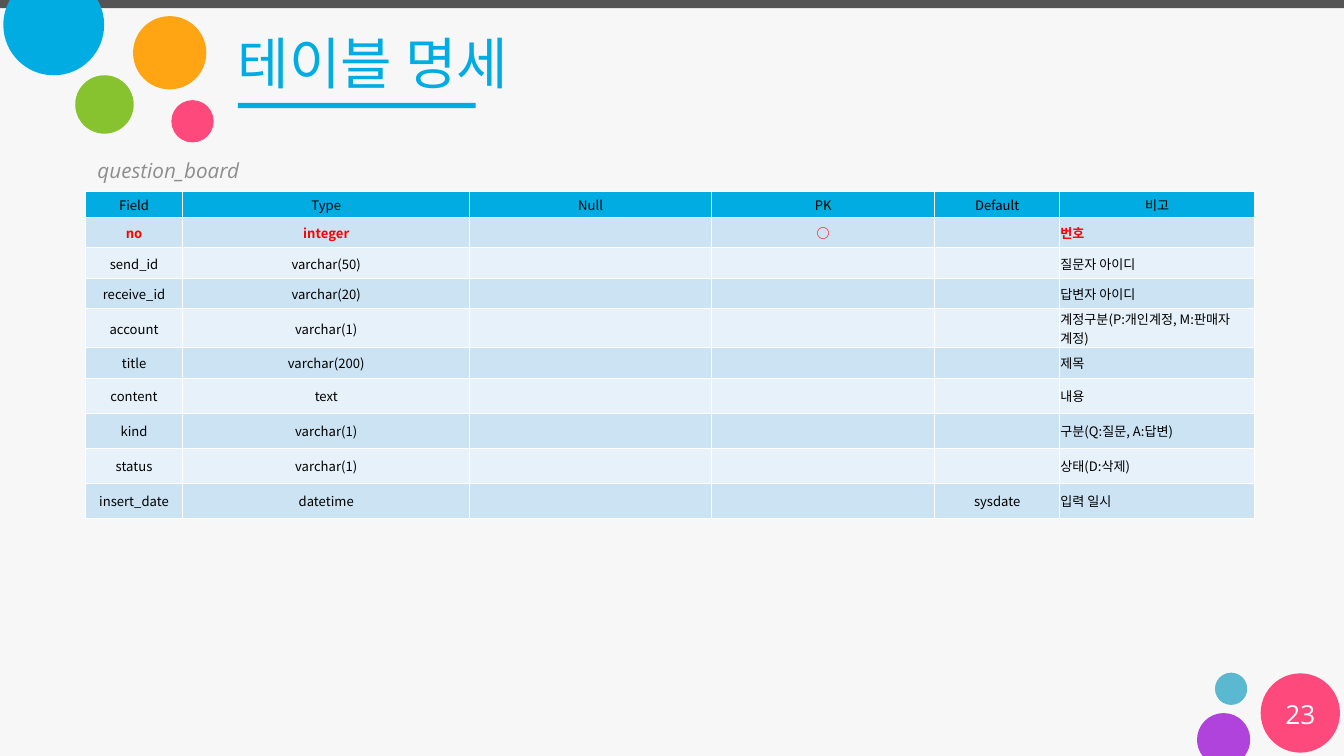
import math
from lxml import etree
from pptx import Presentation
from pptx.dml.color import RGBColor
from pptx.enum.shapes import MSO_SHAPE
from pptx.enum.text import MSO_ANCHOR, PP_ALIGN
from pptx.oxml.ns import qn
from pptx.util import Pt

RECTANGLE, OVAL = MSO_SHAPE.RECTANGLE, MSO_SHAPE.OVAL
TOP, MIDDLE = MSO_ANCHOR.TOP, MSO_ANCHOR.MIDDLE
LEFT, CENTER = PP_ALIGN.LEFT, PP_ALIGN.CENTER

BACKGROUND = RGBColor(0xF7, 0xF7, 0xF7)
CHARCOAL = RGBColor(0x54, 0x54, 0x54)
BLUE = RGBColor(0x00, 0xAC, 0xE2)
PINK = RGBColor(0xFD, 0x49, 0x7C)
GREEN = RGBColor(0x87, 0xC3, 0x2F)
ORANGE = RGBColor(0xFF, 0xA5, 0x13)
TEAL = RGBColor(0x5B, 0xB8, 0xD1)
PURPLE = RGBColor(0xB1, 0x43, 0xDD)
GRAY = RGBColor(0x8E, 0x8E, 0x8E)
WHITE = RGBColor(0xFF, 0xFF, 0xFF)
BLACK = RGBColor(0x00, 0x00, 0x00)
RED = RGBColor(0xFF, 0x00, 0x00)
BAND_DARK = RGBColor(0xCC, 0xE3, 0xF4)
BAND_LIGHT = RGBColor(0xE7, 0xF1, 0xFA)
KOREAN_FONT = "Noto Sans CJK KR"


def paint(shape, color):
    shape.shadow.inherit = False
    shape.fill.solid()
    shape.fill.fore_color.rgb = color
    shape.line.fill.background()


def write(frame, text, font_name, size, color, align):
    para = frame.paragraphs[0]
    para.text = text
    para.alignment = align
    para.font.name = font_name
    para.font.size = Pt(size)
    para.font.color.rgb = color
    defaults = para._p.pPr.find(qn("a:defRPr"))
    etree.SubElement(defaults, qn("a:ea"), typeface=font_name)
    return para


deck = Presentation()
deck.slide_width, deck.slide_height = Pt(1440), Pt(810)
page = deck.slides.add_slide(deck.slide_layouts[6])
page.background.fill.solid()
page.background.fill.fore_color.rgb = BACKGROUND

for kind, left, top, width, height, color in [
    (RECTANGLE, 0, 0, 1440, 8.64, CHARCOAL),
    (OVAL, 183.6, 107.28, 45.36, 45.36, PINK),
    (OVAL, 80.64, 80.64, 62.64, 62.64, GREEN),
    (OVAL, 142.56, 17.28, 78.48, 78.48, ORANGE),
    (OVAL, 1301.76, 720.72, 34.56, 34.56, TEAL),
    (OVAL, 1350.72, 721.44, 84.96, 84.96, PINK),
    (RECTANGLE, 254.88, 110.16, 254.88, 5.76, BLUE),
]:
    shape = page.shapes.add_shape(kind, Pt(left), Pt(top), Pt(width), Pt(height))
    paint(shape, color)

for center_x, center_y, radius, edge_y, turn, color in [
    (57.6, 26.64, 54, 0, 1, BLUE),
    (1311, 792.5, 28.5, 810, -1, PURPLE),
]:
    start = math.asin((edge_y - center_y) / radius)
    angles = [start, 0, turn * math.pi / 2, turn * math.pi, turn * math.pi - start]
    points = [
        (Pt(center_x + radius * math.cos(angle)), Pt(center_y + radius * math.sin(angle)))
        for angle in angles
    ]
    builder = page.shapes.build_freeform(*points[0])
    builder.add_line_segments(points[1:], close=True)
    circle = builder.convert_to_shape()
    paint(circle, color)
    segments = list(circle._element.iter(qn("a:lnTo")))
    for segment, begin, end in zip(segments, angles, angles[1:]):
        reach = 4 / 3 * math.tan((end - begin) / 4)
        curve = etree.Element(qn("a:cubicBezTo"))
        for angle, offset in [(begin, reach), (end, -reach), (end, 0)]:
            x = center_x + radius * (math.cos(angle) - offset * math.sin(angle))
            y = center_y + radius * (math.sin(angle) + offset * math.cos(angle))
            etree.SubElement(curve, qn("a:pt"), x=str(Pt(x) - circle.left), y=str(Pt(y) - circle.top))
        segment.getparent().replace(segment, curve)

for text, left, top, width, height, anchor, font_name, size, color, align, italic in [
    ("테이블 명세", 241.92, 19.44, 1129.68, 95.04, MIDDLE, "Calibri", 60, BLUE, LEFT, False),
    ("question_board", 91.44, 162.72, 1128.24, 39.6, TOP, "Open Sans", 22.2, GRAY, LEFT, True),
    ("23", 1350.72, 743.04, 84.96, 43.2, MIDDLE, "Open Sans", 28, WHITE, CENTER, False),
]:
    box = page.shapes.add_textbox(Pt(left), Pt(top), Pt(width), Pt(height))
    frame = box.text_frame
    frame.word_wrap = True
    frame.vertical_anchor = anchor
    frame.margin_left = frame.margin_right = Pt(13)
    frame.margin_top = frame.margin_bottom = Pt(6.5)
    para = write(frame, text, font_name, size, color, align)
    para.font.italic = italic

rows = [
    ("Field", "Type", "Null", "PK", "Default", "비고"),
    ("no", "integer", "", "○", "", "번호"),
    ("send_id", "varchar(50)", "", "", "", "질문자 아이디"),
    ("receive_id", "varchar(20)", "", "", "", "답변자 아이디"),
    ("account", "varchar(1)", "", "", "", "계정구분(P:개인계정, M:판매자 계정)"),
    ("title", "varchar(200)", "", "", "", "제목"),
    ("content", "text", "", "", "", "내용"),
    ("kind", "varchar(1)", "", "", "", "구분(Q:질문, A:답변)"),
    ("status", "varchar(1)", "", "", "", "상태(D:삭제)"),
    ("insert_date", "datetime", "", "", "sysdate", "입력 일시"),
]
column_widths = [104.4, 307.44, 259.2, 239.04, 133.92, 208.8]
row_heights = [28.2] + [32.6] * 3 + [41.8, 32.6] + [37.5] * 4

table = page.shapes.add_table(
    len(rows), len(column_widths), Pt(91.44), Pt(204.8),
    Pt(sum(column_widths)), Pt(sum(row_heights)),
).table
table.first_row = table.horz_banding = False
for column, width in zip(table.columns, column_widths):
    column.width = Pt(width)

for row_index, (values, height) in enumerate(zip(rows, row_heights)):
    table.rows[row_index].height = Pt(height)
    is_header, is_key = row_index == 0, row_index == 1
    band = BLUE if is_header else BAND_DARK if row_index % 2 else BAND_LIGHT
    for column_index, value in enumerate(values):
        cell = table.cell(row_index, column_index)
        cell.vertical_anchor = MIDDLE
        cell.margin_left = cell.margin_right = cell.margin_top = Pt(0.72)
        cell.margin_bottom = Pt(0)
        is_note = column_index == 5 and not is_header
        para = write(cell.text_frame, value, KOREAN_FONT, 14,
                     RED if is_key else BLACK, LEFT if is_note else CENTER)
        para.font.bold = is_key
        properties = cell._tc.get_or_add_tcPr()
        for side in "LRTB":
            border = etree.SubElement(properties, qn(f"a:ln{side}"), w=str(Pt(1)))
            border_fill = etree.SubElement(border, qn("a:solidFill"))
            etree.SubElement(border_fill, qn("a:srgbClr"), val=str(WHITE))
        cell.fill.solid()
        cell.fill.fore_color.rgb = band

deck.save("out.pptx")
